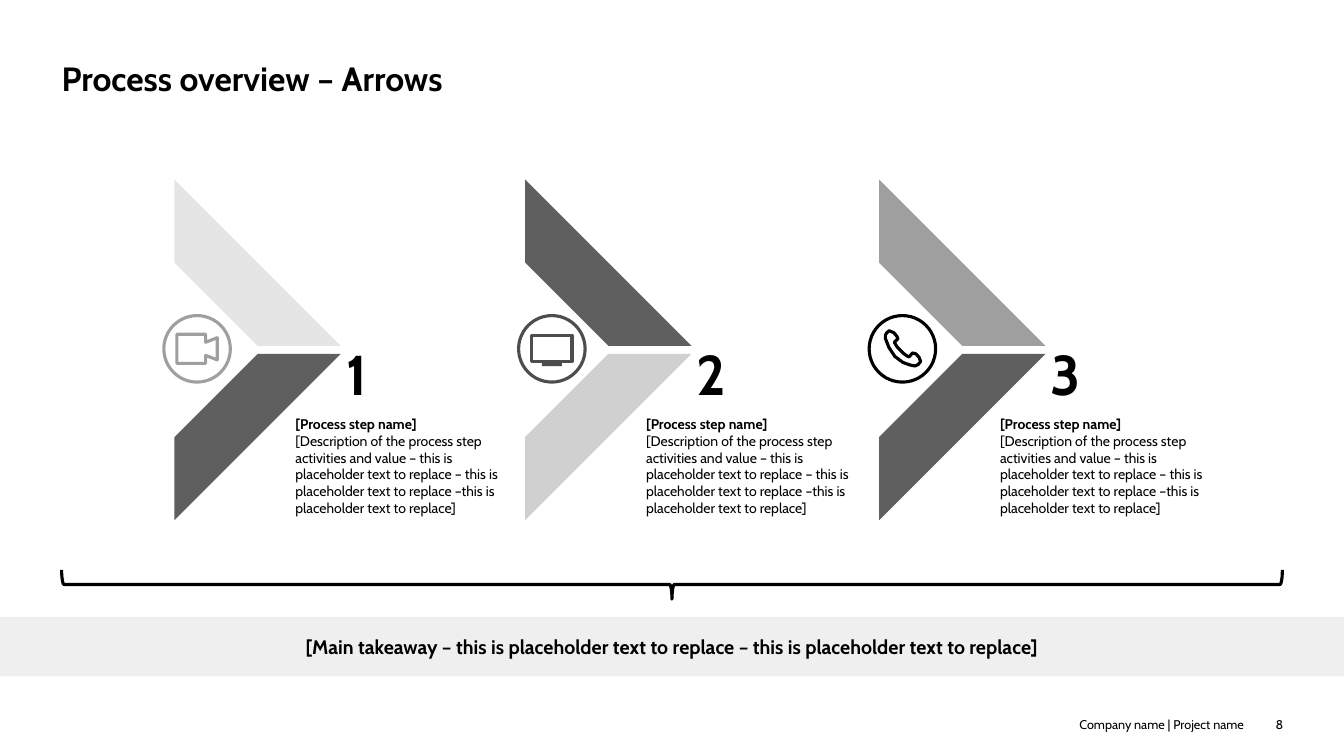
from dataclasses import dataclass

from lxml.etree import SubElement
from pptx import Presentation
from pptx.dml.color import RGBColor
from pptx.enum.shapes import MSO_SHAPE
from pptx.enum.text import MSO_ANCHOR, PP_ALIGN
from pptx.oxml.ns import qn
from pptx.util import Pt


@dataclass(frozen=True)
class Theme:
    """Colours, font and type sizes of the slide."""
    font: str = "Cabin"
    ink: str = "000000"
    charcoal: str = "4D4D4D"
    dark: str = "5F5F5F"
    middle: str = "9F9F9F"
    light: str = "D0D0D0"
    pale: str = "E5E5E5"
    band: str = "EFEFEF"
    title: float = 24
    number: float = 40
    takeaway: float = 14
    body: float = 10
    footer: float = 9
    stroke: float = 2.25


@dataclass(frozen=True)
class Box:
    """A rectangle in points."""
    left: float
    top: float
    width: float
    height: float

    def lengths(self):
        """Return the four sides as slide lengths."""
        return Pt(self.left), Pt(self.top), Pt(self.width), Pt(self.height)


@dataclass(frozen=True)
class Step:
    """One process step with its arrow, icon and text."""
    left: float
    upper: str
    lower: str
    icon_color: str
    icon_offset: float
    outline: tuple
    stand: bool
    description: str


THEME = Theme()
CAMERA = ((-14.4, -10.4), (6.1, -10.4), (6.1, -4.7), (14.4, -7.9),
          (14.4, 7.9), (6.1, 4.7), (6.1, 10.4), (-14.4, 10.4))
SCREEN = ((-14.4, -9.7), (14.4, -9.7), (14.4, 9), (-14.4, 9))
PHONE = ((-9.4, -13), (-11.2, -11.5), (-12.2, -9.7), (-12.2, -7.5),
         (-9.7, -1.1), (-5.4, 5.4), (0.4, 9.7), (5.4, 11.5), (9, 12.2),
         (11.2, 11.2), (13, 9), (11.9, 6.1), (9.7, 3.6), (7.2, 2.9),
         (4.7, 5.8), (3.2, 5), (0.7, 3.2), (-3.6, -1.1), (-5.8, -4.7),
         (-3.2, -7.2), (-4, -9), (-6.1, -11.5))
DESCRIPTION = ("[Description of the process step activities and value – this is "
               "placeholder text to replace – this is placeholder text to replace "
               "–this is placeholder text to replace]")
STEPS = (
    Step(124.6, THEME.pale, THEME.dark, THEME.middle, 16.2, CAMERA, False, DESCRIPTION),
    Step(375.1, THEME.dark, THEME.light, THEME.charcoal, 19.1, SCREEN, True, DESCRIPTION),
    Step(627.9, THEME.middle, THEME.dark, THEME.ink, 16.7, PHONE, False, DESCRIPTION),
)


def paint(shape, fill=None, line=None):
    """Give a shape its fill and outline and no shadow."""
    shape.shadow.inherit = False
    if fill:
        shape.fill.solid()
        shape.fill.fore_color.rgb = RGBColor.from_string(fill)
    else:
        shape.fill.background()
    if line:
        shape.line.color.rgb = RGBColor.from_string(line)
        shape.line.width = Pt(THEME.stroke)
        SubElement(shape.line._get_or_add_ln(), qn("a:round"))
    else:
        shape.line.fill.background()


def write(frame, lines, size, align=PP_ALIGN.LEFT, anchor=MSO_ANCHOR.TOP,
          inset=0, wrap=True):
    """Fill a text frame with (text, bold) paragraphs."""
    frame.word_wrap = wrap
    frame.vertical_anchor = anchor
    frame.margin_left = frame.margin_right = Pt(inset)
    frame.margin_top = frame.margin_bottom = Pt(inset)
    for index, (text, bold) in enumerate(lines):
        para = frame.add_paragraph() if index else frame.paragraphs[0]
        para.alignment = align
        span = para.add_run()
        span.text = text
        span.font.name = THEME.font
        span.font.size = Pt(size)
        span.font.bold = bold
        span.font.color.rgb = RGBColor.from_string(THEME.ink)


def add_text(page, box, lines, size, **options):
    """Add a text box."""
    write(page.shapes.add_textbox(*box.lengths()).text_frame, lines, size, **options)


def add_arrow(page, box, step):
    """Draw the two stripes that form an arrow."""
    side = box.width
    stripes = ((box.top, step.upper, True),
               (box.top + box.height - side, step.lower, False))
    for top, color, flipped in stripes:
        stripe = page.shapes.add_shape(
            MSO_SHAPE.DIAGONAL_STRIPE, *Box(box.left, top, side, side).lengths())
        paint(stripe, fill=color)
        if flipped:
            stripe._element.spPr.find(qn("a:xfrm")).set("flipV", "1")


def add_icon(page, box, step):
    """Draw a ringed line icon centred in its box."""
    paint(page.shapes.add_shape(MSO_SHAPE.OVAL, *box.lengths()), line=step.icon_color)
    center_x = box.left + box.width / 2
    center_y = box.top + box.height / 2
    points = [(Pt(center_x + x), Pt(center_y + y)) for x, y in step.outline]
    builder = page.shapes.build_freeform(*points[0])
    builder.add_line_segments(points[1:])
    paint(builder.convert_to_shape(), line=step.icon_color)
    if step.stand:
        foot = Box(center_x - 7.2, center_y + 10.1, 14.4, 2.2)
        paint(page.shapes.add_shape(MSO_SHAPE.ROUNDED_RECTANGLE, *foot.lengths()),
              fill=step.icon_color)


def add_step(page, box, number, step):
    """Place the arrow, icon, number and text of one step."""
    add_arrow(page, Box(box.left, box.top, 118.8, box.height), step)
    diameter = 47.5
    icon = Box(box.left + step.icon_offset - diameter / 2,
               box.top + box.height / 2 - diameter / 2 - 0.7, diameter, diameter)
    add_icon(page, icon, step)
    add_text(page, Box(box.left + 119.8, box.top + 111.6, 30.2, 54),
             [(str(number), True)], THEME.number, inset=2.9)
    add_text(page, Box(box.left + 86.4, box.top + 168.5, box.width - 86.4, 72.7),
             [("[Process step name]", True), (step.description, False)], THEME.body)


def add_brace(page, box):
    """Draw a brace that points down across its box."""
    upright = Box(box.left + (box.width - box.height) / 2,
                  box.top + (box.height - box.width) / 2, box.height, box.width)
    brace = page.shapes.add_shape(MSO_SHAPE.RIGHT_BRACE, *upright.lengths())
    brace.rotation = 90
    paint(brace, line=THEME.ink)


def add_takeaway(page, box):
    """Draw the takeaway band."""
    band = page.shapes.add_shape(MSO_SHAPE.RECTANGLE, *box.lengths())
    paint(band, fill=THEME.band)
    write(band.text_frame,
          [("[Main takeaway – this is placeholder text to replace – "
            "this is placeholder text to replace]", True)],
          THEME.takeaway, align=PP_ALIGN.CENTER, anchor=MSO_ANCHOR.MIDDLE)


def add_footer(page, box):
    """Write the project line and the page number."""
    options = {"align": PP_ALIGN.RIGHT, "anchor": MSO_ANCHOR.BOTTOM}
    add_text(page, Box(box.left, box.top, 125.2, box.height),
             [("Company name | Project name", False)], THEME.footer, wrap=False, **options)
    add_text(page, Box(box.left + box.width - 26, box.top, 26, box.height),
             [("8", False)], THEME.footer, **options)


def main():
    """Build and save the deck."""
    deck = Presentation()
    deck.slide_width, deck.slide_height = Pt(960), Pt(540)
    page = deck.slides.add_slide(deck.slide_layouts[6])
    add_text(page, Box(44, 28, 872.6, 42.5), [("Process overview – Arrows", True)],
             THEME.title, anchor=MSO_ANCHOR.BOTTOM)
    for number, step in enumerate(STEPS, 1):
        add_step(page, Box(step.left, 128.2, 234, 243.4), number, step)
    add_brace(page, Box(44, 407, 872, 21))
    add_takeaway(page, Box(0, 440.6, 960, 42.5))
    add_footer(page, Box(763.2, 512, 153.4, 10.8))
    deck.save("out.pptx")


if __name__ == "__main__":
    main()
